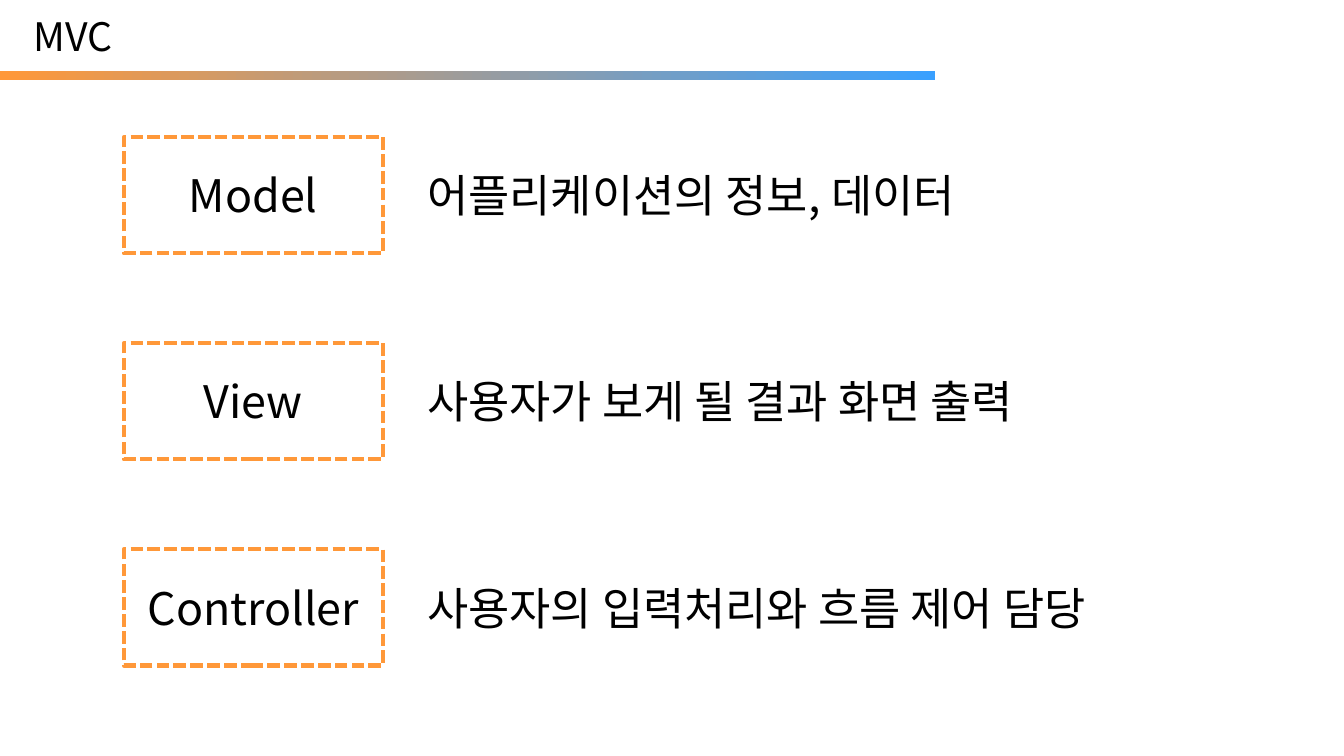
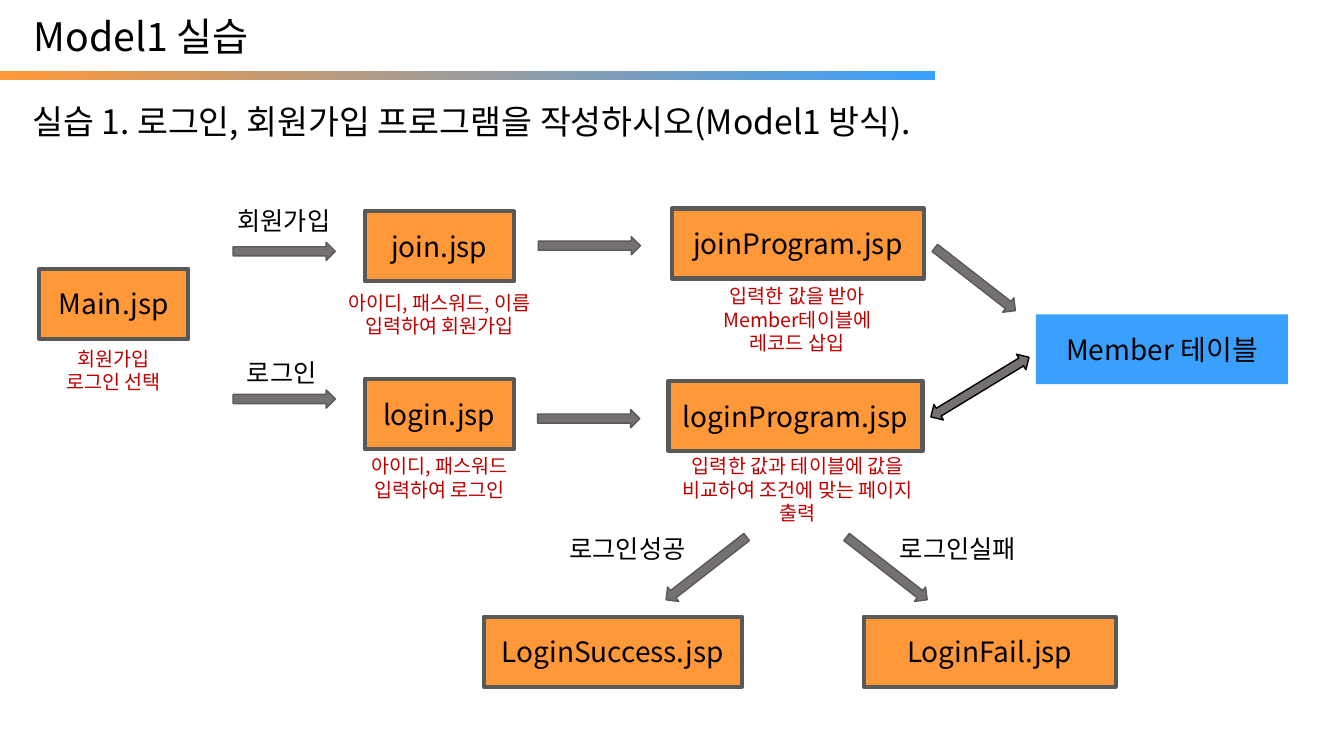
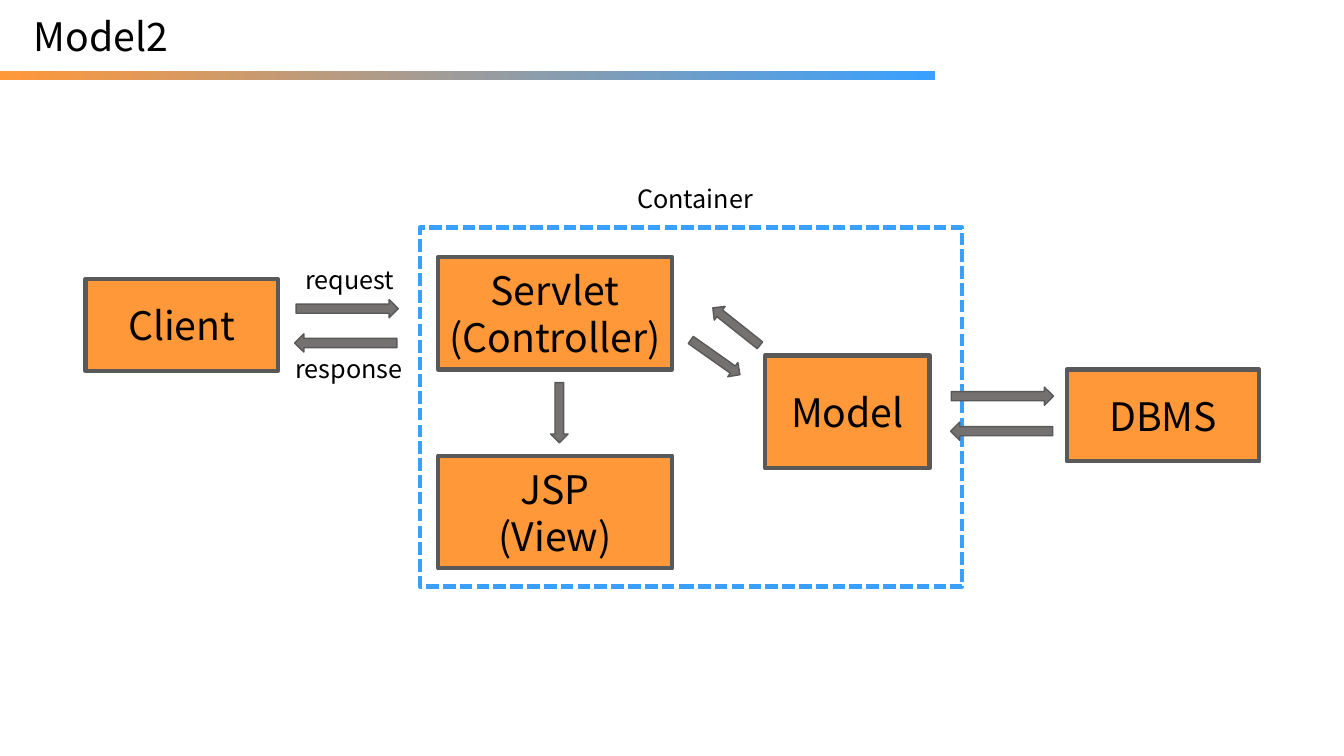
from dataclasses import dataclass

from lxml import etree
from pptx import Presentation
from pptx.dml.color import RGBColor
from pptx.enum.dml import MSO_LINE
from pptx.enum.shapes import MSO_SHAPE
from pptx.enum.text import MSO_ANCHOR, MSO_AUTO_SIZE, PP_ALIGN
from pptx.oxml.ns import qn
from pptx.util import Pt

RECTANGLE = MSO_SHAPE.RECTANGLE
ARROW = MSO_SHAPE.RIGHT_ARROW
DOUBLE_ARROW = MSO_SHAPE.LEFT_RIGHT_ARROW
DASH = MSO_LINE.SQUARE_DOT
MIDDLE = MSO_ANCHOR.MIDDLE
GROW = MSO_AUTO_SIZE.SHAPE_TO_FIT_TEXT
LEFT, CENTER = PP_ALIGN.LEFT, PP_ALIGN.CENTER


@dataclass(frozen=True)
class Theme:
    font: str = "Noto Sans CJK KR"
    black: str = "000000"
    orange: str = "FF9839"
    blue: str = "39A0FF"
    gray: str = "767171"
    outline: str = "595959"
    red: str = "C00000"
    large: int = 32
    title: int = 28
    lead: int = 24
    file: int = 20
    label: int = 18
    note: int = 14
    border: int = 3
    hairline: int = 1


theme = Theme()


def add_figure(page, kind, place, fill=None, line=None, weight=theme.border, angle=0):
    """Add a preset shape; without a fill or line colour that part stays empty."""
    figure = page.shapes.add_shape(kind, *map(Pt, place))
    figure.shadow.inherit = False
    figure.rotation = angle
    if fill:
        figure.fill.solid()
        figure.fill.fore_color.rgb = RGBColor.from_string(fill)
    else:
        figure.fill.background()
    if line:
        figure.line.color.rgb = RGBColor.from_string(line)
        figure.line.width = Pt(weight)
    else:
        figure.line.fill.background()
    return figure


def write(page, target, text, size, color=theme.black, align=CENTER):
    """Put text in a shape, or in a new text box when target is a place."""
    if isinstance(target, tuple):
        box = page.shapes.add_textbox(*map(Pt, target))
        box.text_frame.auto_size = GROW
    else:
        box = target
        box.text_frame.vertical_anchor = MIDDLE
        box.text_frame.margin_left = box.text_frame.margin_right = Pt(4)
    frame = box.text_frame
    frame.word_wrap = True
    frame.text = text
    for para in frame.paragraphs:
        para.alignment = align
        para.font.size = Pt(size)
        para.font.color.rgb = RGBColor.from_string(color)
        para.font.name = theme.font
        defaults = para._p.pPr.find(qn("a:defRPr"))
        etree.SubElement(defaults, qn("a:ea")).set("typeface", theme.font)
    return frame


deck = Presentation()
deck.slide_width, deck.slide_height = Pt(960), Pt(540)

# Title and gradient band of every slide
pages = []
for title in ("MVC", "Model1 실습", "Model2"):
    page = deck.slides.add_slide(deck.slide_layouts[6])
    frame = write(page, (12, 5, 656, 41), title, theme.title, align=LEFT)
    frame.margin_left = Pt(12)
    band = add_figure(page, RECTANGLE, (0, 50.5, 668, 6.5))
    band.fill.gradient()
    band.fill.gradient_angle = 0
    for stop, color in zip(band.fill.gradient_stops, (theme.orange, theme.blue)):
        stop.color.rgb = RGBColor.from_string(color)
    pages.append(page)
mvc_page, model1_page, model2_page = pages

# MVC: three roles
roles = (
    ("Model", 119, "어플리케이션의 정보, 데이터"),
    ("View", 119, "사용자가 보게 될 결과 화면 출력"),
    ("Controller", 178, "사용자의 입력처리와 흐름 제어 담당"),
)
for row, (role, width, meaning) in enumerate(roles):
    top = 98 + 147.2 * row
    frame_box = add_figure(mvc_page, RECTANGLE, (88.5, top, 185, 83), line=theme.orange)
    frame_box.line.dash_style = DASH
    write(mvc_page, (181 - width / 2, top + 18.5, width, 46), role, theme.large)
    write(mvc_page, (298, top + 18.5, 577, 46), meaning, theme.large, align=LEFT)

# Model1: flow of the login exercise
write(model1_page, (16, 68.5, 885.5, 36),
      "실습 1. 로그인, 회원가입 프로그램을 작성하시오(Model1 방식).", theme.lead, align=LEFT)

files = (
    ("Main.jsp", 28, 192, 106.5),
    ("join.jsp", 260.5, 151, 106.5),
    ("login.jsp", 260.5, 271, 106.5),
    ("joinProgram.jsp", 480, 149, 180),
    ("loginProgram.jsp", 477.5, 272, 181.5),
    ("LoginSuccess.jsp", 345.5, 440.5, 184.5),
    ("LoginFail.jsp", 617, 440.5, 180),
)
for name, left, top, width in files:
    file_box = add_figure(model1_page, RECTANGLE, (left, top, width, 50),
                          theme.orange, theme.outline)
    write(model1_page, file_box, name, theme.file)
member_table = add_figure(model1_page, RECTANGLE, (740, 224.5, 180, 50), theme.blue)
write(model1_page, member_table, "Member 테이블", theme.file)

notes = (
    ("회원가입\n로그인 선택", 28, 244, 106.5, 41),
    ("아이디, 패스워드, 이름 입력하여 회원가입", 235.5, 204, 157, 41),
    ("아이디, 패스워드\n입력하여 로그인", 235.5, 321, 157, 41),
    ("입력한 값을 받아 Member테이블에\n레코드 삽입", 491, 199.5, 157, 58),
    ("입력한 값과 테이블에 값을 비교하여 조건에 맞는 페이지 출력", 467.5, 321, 205, 41),
)
for text, *place in notes:
    write(model1_page, tuple(place), text, theme.note, theme.red)

# Model2: request cycle
container = add_figure(model2_page, RECTANGLE, (300, 162.5, 387.5, 256.5), line=theme.blue)
container.line.dash_style = DASH
parts = (
    ("Client", 61, 199.5, 137.5, 65.5),
    ("Servlet\n(Controller)", 313, 183.5, 167, 80.5),
    ("JSP\n(View)", 313, 325.5, 167, 80.5),
    ("Model", 546.5, 254, 117.5, 80.5),
    ("DBMS", 762, 264, 137.5, 65.5),
)
for name, *place in parts:
    part_box = add_figure(model2_page, RECTANGLE, place, theme.orange, theme.outline)
    write(model2_page, part_box, name, theme.title)

# Arrows and their labels on both flow slides
long_arrow, short_arrow = (73, 13), (43, 12.5)
arrows = (
    (model1_page, 166.5, 173, long_arrow, 0),
    (model1_page, 166.5, 278.5, long_arrow, 0),
    (model1_page, 384.5, 169, long_arrow, 0),
    (model1_page, 384, 292.5, long_arrow, 0),
    (model1_page, 597, 399.5, long_arrow, 37.9),
    (model1_page, 468, 399.5, long_arrow, 142.1),
    (model1_page, 660, 193, long_arrow, 37.9),
    (model2_page, 211.5, 214, long_arrow, 0),
    (model2_page, 210.5, 238.5, long_arrow, 180),
    (model2_page, 679.5, 276.5, long_arrow, 0),
    (model2_page, 679, 301.5, long_arrow, 180),
    (model2_page, 378, 288.5, short_arrow, 90),
    (model2_page, 504.5, 227, short_arrow, 218.5),
    (model2_page, 489.5, 249, short_arrow, 35.2),
)
for page, left, top, size, angle in arrows:
    add_figure(page, ARROW, (left, top, *size), theme.gray, theme.outline,
               theme.hairline, angle)
add_figure(model1_page, DOUBLE_ARROW, (659, 270, 82, 13), theme.gray, theme.black,
           theme.hairline, 328.7)

labels = (
    (model1_page, "회원가입", 157.5, 143, 90.5),
    (model1_page, "로그인", 156, 251.5, 90.5),
    (model1_page, "로그인성공", 392.5, 377.5, 111.5),
    (model1_page, "로그인실패", 628.5, 377.5, 111.5),
    (model2_page, "request", 204.5, 185, 90.5),
    (model2_page, "response", 198.5, 249, 101.5),
    (model2_page, "Container", 444, 127.5, 105),
)
for page, text, left, top, width in labels:
    write(page, (left, top, width, 29), text, theme.label)

deck.save("out.pptx")
